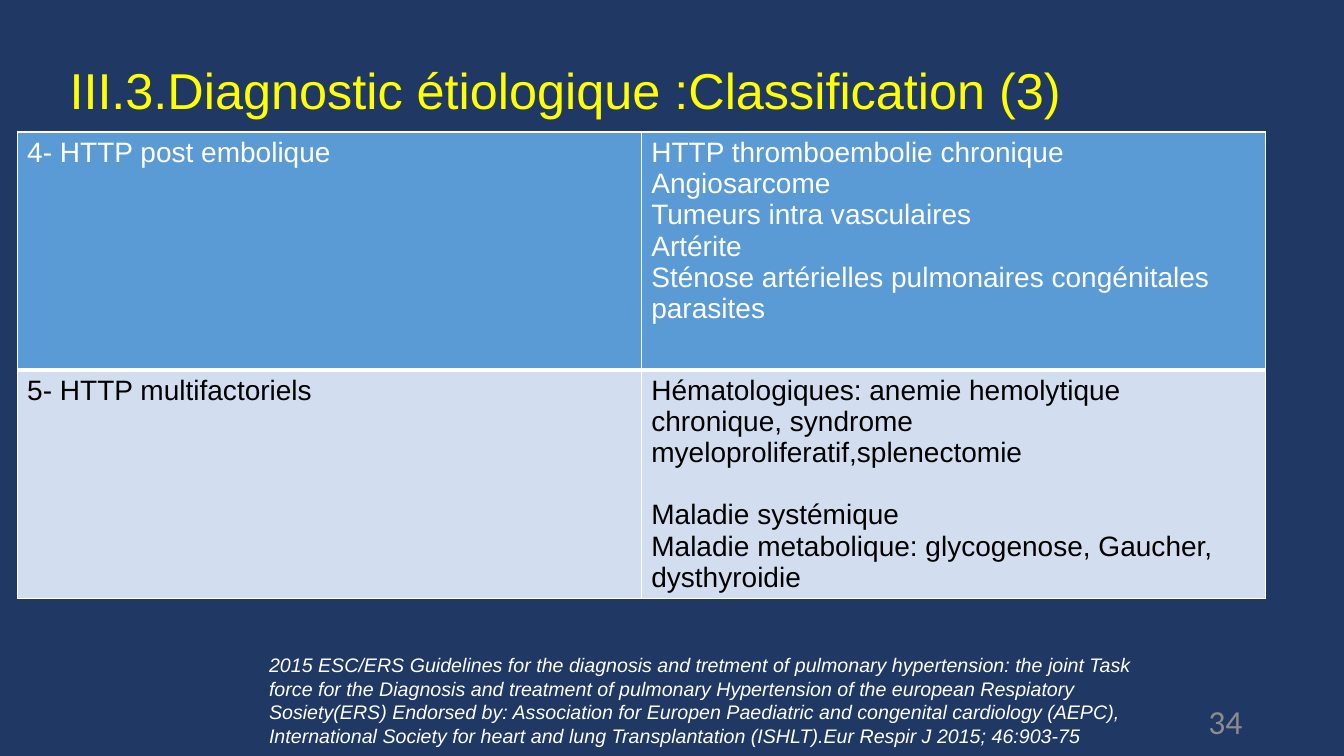
from lxml import etree
from pptx import Presentation
from pptx.dml.color import RGBColor
from pptx.enum.text import MSO_ANCHOR, MSO_AUTO_SIZE, PP_ALIGN
from pptx.oxml.ns import qn
from pptx.util import Inches, Pt

NAVY = RGBColor(0x20, 0x38, 0x64)
YELLOW = RGBColor(0xFF, 0xFF, 0x00)
WHITE = RGBColor(0xFF, 0xFF, 0xFF)
BLACK = RGBColor(0x00, 0x00, 0x00)
GREY = RGBColor(0x8C, 0x8C, 0x8C)
BLUE = RGBColor(0x5B, 0x9B, 0xD5)
PALE_BLUE = RGBColor(0xD2, 0xDE, 0xEF)

MIDDLE = MSO_ANCHOR.MIDDLE
TOP = MSO_ANCHOR.TOP
LEFT = PP_ALIGN.LEFT
RIGHT = PP_ALIGN.RIGHT
NO_AUTOFIT = MSO_AUTO_SIZE.NONE

TITLE = "III.3.Diagnostic étiologique :Classification (3)"
SOURCE = (
    "2015 ESC/ERS Guidelines for the diagnosis and tretment of pulmonary "
    "hypertension: the joint Task force for the Diagnosis and treatment of "
    "pulmonary Hypertension of the european Respiatory Sosiety(ERS) Endorsed by: "
    "Association for Europen Paediatric and congenital cardiology (AEPC), "
    "International Society for heart and lung Transplantation (ISHLT)."
    "Eur Respir J 2015; 46:903-75"
)

# Each row: height, fill, text colour, bottom border width, cells
ROWS = [
    (2.36, BLUE, WHITE, 3, [
        ["4- HTTP post embolique"],
        ["HTTP thromboembolie chronique",
         "Angiosarcome",
         "Tumeurs intra vasculaires",
         "Artérite",
         "Sténose artérielles pulmonaires congénitales",
         "parasites"],
    ]),
    (2.27, PALE_BLUE, BLACK, 1, [
        ["5- HTTP multifactoriels"],
        ["Hématologiques: anemie hemolytique chronique, syndrome "
         "myeloproliferatif,splenectomie",
         "Maladie systémique",
         "Maladie metabolique: glycogenose, Gaucher, dysthyroidie"],
    ]),
]
GROUP_START = "Maladie systémique"
COLUMN_WIDTH = 6.19


def style_text(para, size, color, font="Arial", italic=False):
    for span in para.runs:
        span.font.name = font
        span.font.size = Pt(size)
        span.font.color.rgb = color
        span.font.italic = italic


def set_borders(cell, bottom_width):
    properties = cell._tc.get_or_add_tcPr()
    widths = {"a:lnL": 1, "a:lnR": 1, "a:lnT": 1, "a:lnB": bottom_width}
    for position, (tag, width) in enumerate(widths.items()):
        line = etree.Element(qn(tag), w=str(Pt(width)))
        fill = etree.SubElement(line, qn("a:solidFill"))
        etree.SubElement(fill, qn("a:srgbClr"), val=str(WHITE))
        properties.insert(position, line)


def add_title(page):
    title = page.shapes.title
    title.left, title.top = Inches(0.59), Inches(0.3)
    title.width, title.height = Inches(10.57), Inches(1.25)
    frame = title.text_frame
    frame.text = TITLE
    frame.auto_size = NO_AUTOFIT
    frame.vertical_anchor = MIDDLE
    para = frame.paragraphs[0]
    para.alignment = LEFT
    para.line_spacing = 0.9
    style_text(para, 36, YELLOW)


def add_text(page, text, left, top, width, height, anchor, align, **style):
    box = page.shapes.add_textbox(
        Inches(left), Inches(top), Inches(width), Inches(height))
    frame = box.text_frame
    frame.word_wrap = True
    frame.vertical_anchor = anchor
    frame.text = text
    para = frame.paragraphs[0]
    para.alignment = align
    style_text(para, **style)


def fill_cell(cell, lines, fill, color, bottom_width):
    cell.fill.solid()
    cell.fill.fore_color.rgb = fill
    set_borders(cell, bottom_width)
    cell.text_frame.text = "\n".join(lines)
    for para in cell.text_frame.paragraphs:
        if para.text == GROUP_START:
            para.space_before = Pt(22)
        style_text(para, 20, color)


def add_classification(page):
    table = page.shapes.add_table(
        len(ROWS), 2, Inches(0.17), Inches(1.31),
        Inches(2 * COLUMN_WIDTH), Inches(sum(row[0] for row in ROWS))).table
    for column in table.columns:
        column.width = Inches(COLUMN_WIDTH)
    for row, (height, fill, color, bottom_width, cells) in zip(table.rows, ROWS):
        row.height = Inches(height)
        for cell, lines in zip(row.cells, cells):
            fill_cell(cell, lines, fill, color, bottom_width)


def main():
    deck = Presentation()
    deck.slide_width, deck.slide_height = Inches(13.33), Inches(7.5)

    # Title Only layout on a navy background
    page = deck.slides.add_slide(deck.slide_layouts[5])
    page.background.fill.solid()
    page.background.fill.fore_color.rgb = NAVY

    # Table, page number, title and reference
    add_classification(page)
    add_text(page, "34", 9.42, 6.95, 3, 0.4, MIDDLE, RIGHT,
             size=24, color=GREY, font="Calibri")
    add_title(page)
    add_text(page, SOURCE, 2.57, 6.43, 8.82, 1.04, TOP, LEFT,
             size=14, color=WHITE, italic=True)

    deck.save("out.pptx")


if __name__ == "__main__":
    main()
